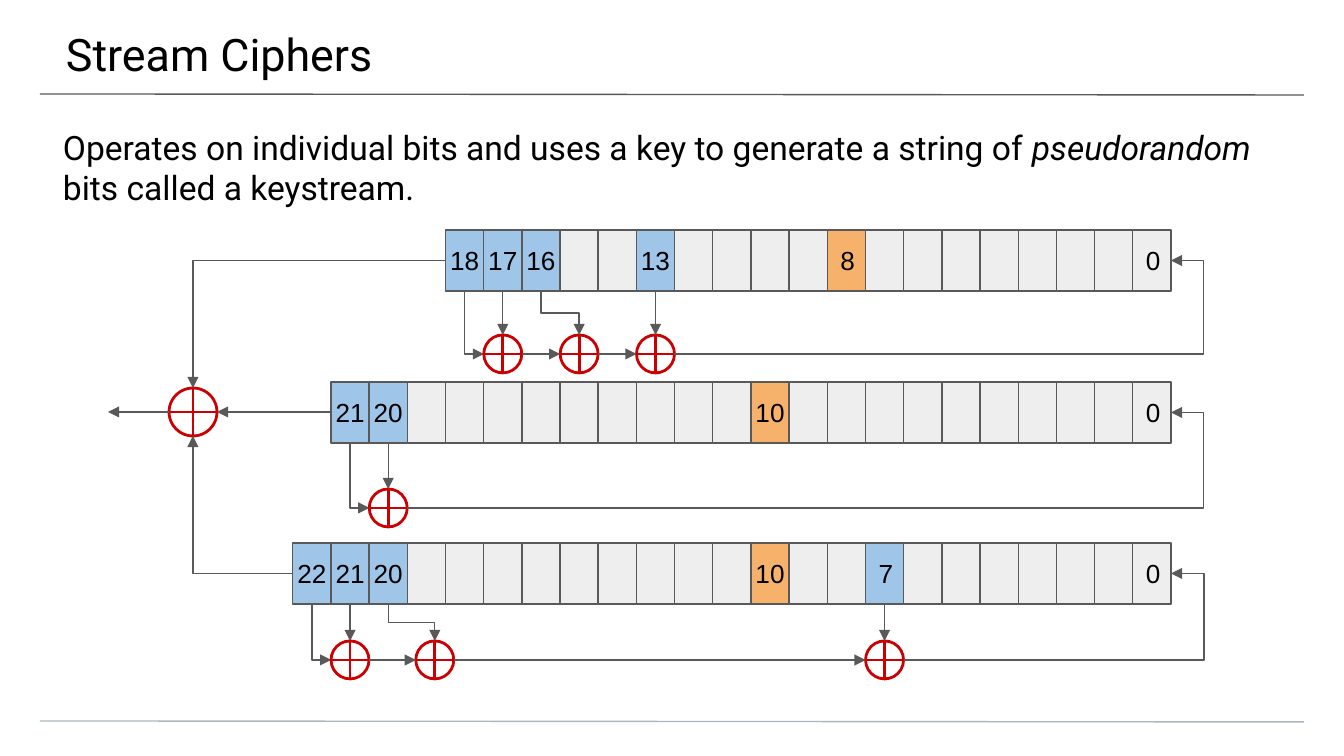
from lxml.etree import SubElement
from pptx import Presentation
from pptx.dml.color import RGBColor
from pptx.enum.shapes import MSO_CONNECTOR as CONNECTOR, MSO_SHAPE as SHAPE
from pptx.enum.text import MSO_ANCHOR as ANCHOR, PP_ALIGN as ALIGN
from pptx.oxml.ns import qn
from pptx.util import Pt

COLORS = {
    "text": "000000", "wire": "595959", "footer": "A9B7C0", "gate": "CC0000",
    "white": "FFFFFF", "tap": "9FC5E8", "clock": "F6B26B", "cell": "EEEEEE",
}
TITLE = [("Stream Ciphers", False)]
BODY = [
    ("Operates on individual bits and uses a key to generate a string of ", False),
    ("pseudorandom", True),
    (" bits called a keystream.", False),
]
# Each gate pairs a tapped bit with the bit position the gate stands under.
# The first bit of a register also feeds its first gate from the left.
REGISTERS = [
    {"top": 230, "gate_y": 354, "first_bit": 18, "clock": 8,
     "gates": [(17, 17), (16, 15), (13, 13)]},
    {"top": 382, "gate_y": 508, "first_bit": 21, "clock": 10,
     "gates": [(20, 20)]},
    {"top": 543, "gate_y": 660, "first_bit": 22, "clock": 10,
     "gates": [(21, 21), (20, 18.78), (7, 7)]},
]

SLIDE_W, SLIDE_H = 1344, 756
PX = 914400 / 134.4
GRID_RIGHT = 1171
CELL_W = 840 / 22
CELL_H = 61
GATE_R = 19
OUTPUT_X, OUTPUT_Y, OUTPUT_R = 193, 412, 24
OUTPUT_END = 108
FEEDBACK_X = 1204
RULES = [(94, "wire"), (721, "footer")]


def emu(px):
    return round(px * PX)


def rgb(name):
    return RGBColor.from_string(COLORS[name])


def write(shape, runs, size=14, font="Arial", align=ALIGN.LEFT,
          anchor=ANCHOR.TOP, margins=(0, 0, 0, 0)):
    """Fill a shape with one paragraph of (text, italic) runs."""
    frame = shape.text_frame
    frame.word_wrap = True
    frame.vertical_anchor = anchor
    (frame.margin_left, frame.margin_top,
     frame.margin_right, frame.margin_bottom) = map(emu, margins)
    paragraph = frame.paragraphs[0]
    paragraph.alignment = align
    for text, italic in runs:
        run = paragraph.add_run()
        run.text = text
        run.font.size = Pt(size)
        run.font.name = font
        run.font.italic = italic
        run.font.color.rgb = rgb("text")


def add_box(slide, kind, left, top, width, height, fill, line, line_width):
    shape = slide.shapes.add_shape(kind, *map(emu, (left, top, width, height)))
    shape.shadow.inherit = False
    shape.fill.solid()
    shape.fill.fore_color.rgb = rgb(fill)
    shape.line.color.rgb = rgb(line)
    shape.line.width = Pt(line_width)
    return shape


def add_gate(slide, x, y, radius):
    add_box(slide, SHAPE.FLOWCHART_OR, x - radius, y - radius,
            2 * radius, 2 * radius, "white", "gate", 1.5)


def add_wire(slide, start, end, preset="line", down_first=False, bend=None,
             color="wire", arrow=True):
    """Connect two points; bend is where an elbow turns, as a share of its width."""
    (x1, y1), (x2, y2) = start, end
    wire = slide.shapes.add_connector(CONNECTOR.STRAIGHT, *map(emu, (*start, *end)))
    wire.line.color.rgb = rgb(color)
    wire.line.width = Pt(0.75)
    properties = wire._element.spPr
    geometry = properties.find(qn("a:prstGeom"))
    geometry.set("prst", preset)
    if bend is not None:
        SubElement(geometry.find(qn("a:avLst")), qn("a:gd"),
                   name="adj1", fmla=f"val {round(bend * 100000)}")
    if down_first:
        width, height = y2 - y1, x2 - x1
        wire.left = emu((x1 + x2 - width) / 2)
        wire.top = emu((y1 + y2 - height) / 2)
        wire.width, wire.height = emu(width), emu(height)
        frame = properties.find(qn("a:xfrm"))
        frame.set("rot", str(270 * 60000))
        frame.set("flipH", "1")
    if arrow:
        SubElement(properties.find(qn("a:ln")), qn("a:tailEnd"), type="triangle")
    SubElement(properties, qn("a:effectLst"))


def cell_left(bit):
    return GRID_RIGHT - (bit + 1) * CELL_W


def cell_center(bit):
    return cell_left(bit) + CELL_W / 2


def add_cells(slide, register):
    first, clock = register["first_bit"], register["clock"]
    taps = {first, *(tap for tap, _ in register["gates"])}
    for bit in range(first, -1, -1):
        fill = "tap" if bit in taps else "clock" if bit == clock else "cell"
        cell = add_box(slide, SHAPE.RECTANGLE, cell_left(bit), register["top"],
                       CELL_W, CELL_H, fill, "wire", 0.75)
        if bit in taps | {clock, 0}:
            single = bit < 10
            write(cell, [(str(bit), False)], anchor=ANCHOR.MIDDLE,
                  align=ALIGN.LEFT if single else ALIGN.CENTER,
                  margins=(13 if single else 0, 0, 0, 0))


def add_feedback(slide, register):
    bottom, y = register["top"] + CELL_H, register["gate_y"]
    gates = register["gates"]
    centers = [cell_center(position) for _, position in gates]
    add_wire(slide, (cell_center(register["first_bit"]), bottom),
             (centers[0] - GATE_R, y), "bentConnector2", down_first=True)
    for (tap, position), x in zip(gates, centers):
        add_gate(slide, x, y, GATE_R)
        start, end = (cell_center(tap), bottom), (x, y - GATE_R)
        if tap == position:
            add_wire(slide, start, end)
        else:
            add_wire(slide, start, end, "bentConnector3", down_first=True, bend=0.5)
    for x, next_x in zip(centers, centers[1:]):
        add_wire(slide, (x + GATE_R, y), (next_x - GATE_R, y))
    last = centers[-1] + GATE_R
    add_wire(slide, (last, y), (GRID_RIGHT, register["top"] + CELL_H / 2),
             "bentConnector3", bend=(FEEDBACK_X - last) / (GRID_RIGHT - last))


def add_output(slide):
    add_gate(slide, OUTPUT_X, OUTPUT_Y, OUTPUT_R)
    ends = [(OUTPUT_X, OUTPUT_Y - OUTPUT_R), (OUTPUT_X + OUTPUT_R, OUTPUT_Y),
            (OUTPUT_X, OUTPUT_Y + OUTPUT_R)]
    presets = ["bentConnector2", "line", "bentConnector2"]
    for register, end, preset in zip(REGISTERS, ends, presets):
        y = OUTPUT_Y if preset == "line" else register["top"] + CELL_H / 2
        add_wire(slide, (cell_left(register["first_bit"]), y), end, preset)
    add_wire(slide, (OUTPUT_X - OUTPUT_R, OUTPUT_Y), (OUTPUT_END, OUTPUT_Y))


def main():
    presentation = Presentation()
    presentation.slide_width, presentation.slide_height = emu(SLIDE_W), emu(SLIDE_H)
    slide = presentation.slides.add_slide(presentation.slide_layouts[6])
    for y, color in RULES:
        add_wire(slide, (40, y), (1304, y + 1), color=color, arrow=False)
    title = slide.shapes.add_textbox(*map(emu, (-1, 0, 1348, 78)))
    write(title, TITLE, size=24, font="Roboto", margins=(67, 27, 40, 13))
    for register in REGISTERS:
        add_cells(slide, register)
        add_feedback(slide, register)
    add_output(slide)
    body = slide.shapes.add_textbox(*map(emu, (50, 114, 1251, 94)))
    write(body, BODY, size=18, font="Roboto", margins=(13, 13, 13, 13))
    presentation.save("out.pptx")


if __name__ == "__main__":
    main()
